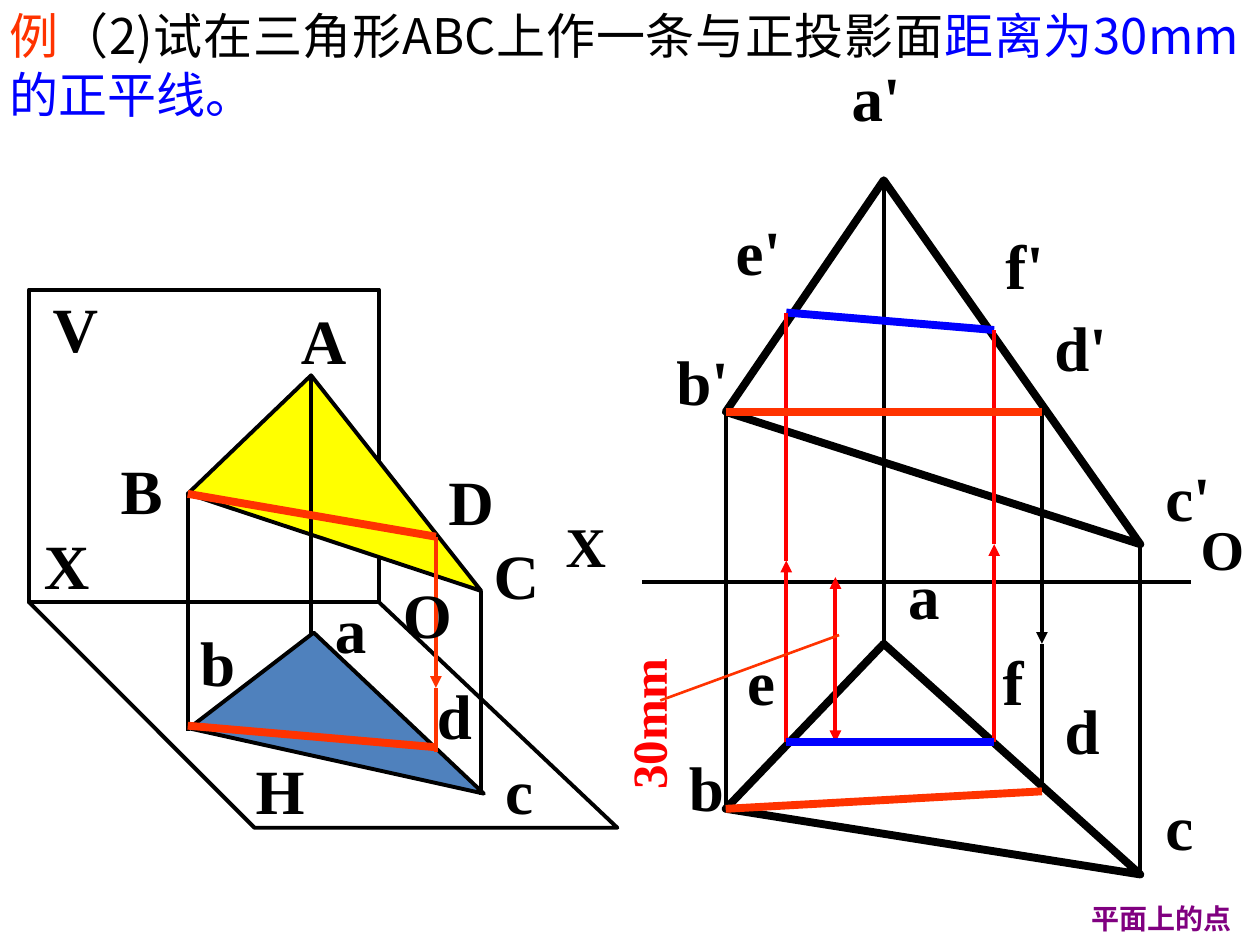
from dataclasses import dataclass

from lxml.etree import SubElement as Sub
from pptx import Presentation
from pptx.dml.color import RGBColor as Rgb
from pptx.enum.shapes import MSO_CONNECTOR as Link
from pptx.enum.text import MSO_ANCHOR as Anchor, PP_ALIGN as Align
from pptx.oxml.ns import qn
from pptx.util import Pt


@dataclass(frozen=True)
class Theme:
    black: str = "000000"
    white: str = "FFFFFF"
    red: str = "FF0000"
    orange: str = "FF3300"
    blue: str = "0000FF"
    steel: str = "4F81BD"
    yellow: str = "FFFF00"
    purple: str = "800080"
    serif: str = "Times New Roman"
    sans: str = "Noto Sans CJK SC"
    label: int = 36
    axis: int = 32
    title: int = 28
    note: int = 16
    thin: float = 1.5
    line: float = 2.25
    bold: float = 4.5


T = Theme()


class Panel:
    def __init__(self, slide, left, top):
        self.shapes = slide.shapes
        self.left, self.top = left, top

    def at(self, x, y):
        return Pt(self.left + x), Pt(self.top + y)

    def line(self, start, end, color=T.black, width=T.line, ends=()):
        link = self.shapes.add_connector(
            Link.STRAIGHT, *self.at(*start), *self.at(*end))
        link.line.color.rgb = Rgb.from_string(color)
        link.line.width = Pt(width)
        props = link._element.spPr
        for end_tag in ends:
            Sub(props.find(qn("a:ln")), qn(end_tag), type="triangle")
        Sub(props, qn("a:effectLst"))

    def shape(self, points, fill=T.white, width=T.line):
        first, *rest = [self.at(*p) for p in points]
        pen = self.shapes.build_freeform(*first)
        pen.add_line_segments(rest, close=True)
        form = pen.convert_to_shape()
        form.shadow.inherit = False
        form.fill.solid()
        form.fill.fore_color.rgb = Rgb.from_string(fill)
        form.line.color.rgb = Rgb.from_string(T.black)
        form.line.width = Pt(width)

    def text(self, runs, x, y, w, h, size=T.label, face=T.serif,
             bold=True, wrap=True, turn=0, align=Align.LEFT,
             anchor=Anchor.TOP, lead=None):
        box = self.shapes.add_textbox(*self.at(x, y), Pt(w), Pt(h))
        box.rotation = turn
        frame = box.text_frame
        frame.word_wrap, frame.vertical_anchor = wrap, anchor
        para = frame.paragraphs[0]
        para.alignment = align
        if lead:
            para.line_spacing = lead
        look = {"size": Pt(size), "name": face, "bold": bold}
        for words, color in runs:
            run = para.add_run()
            run.text = words
            for key, value in look.items():
                setattr(run.font, key, value)
            run.font.color.rgb = Rgb.from_string(color)
            Sub(run._r.get_or_add_rPr(), qn("a:ea"), typeface=T.sans)

    def labels(self, rows, size=T.label, high=50.4):
        for name, x, y, w in rows:
            self.text([(name, T.black)], x, y, w, high, size,
                      wrap=len(name) == 1)


def draw_space(slide, left, top):
    pane = Panel(slide, left, top)
    wide, base = 200, 178.5
    pane.shape([(0, base), (129, 307.5), (336.3, 307.5), (wide, base)])
    pane.shape([(0, base), (0, 0), (wide, 0), (wide, base)])
    A, B, C, D = (161.3, 49), (90.8, 116.7), (258.5, 172.2), (232.6, 141.2)
    a, b, c, d = (162.8, 196), (91.5, 250.7), (260, 288), (232.6, 261.5)
    pane.shape([b, a, c], T.steel)
    pane.shape([B, C, A], T.yellow)
    for spot, foot in ((A, 196.7), (C, 288.8), (B, 252)):
        pane.line(spot, (spot[0], foot))
    pane.line(d, (B[0], 249.2), T.orange, T.bold)
    pane.line(B, D, T.orange, T.bold)
    mid = (D[0], 227.6)
    pane.line(D, mid, T.orange, ends=["a:tailEnd"])
    pane.line(mid, (D[0], 264.3), T.orange)
    pane.labels([
        ("D", 232.6, 95.1, 40.4), ("C", 258.5, 137.6, 40.4),
        ("H", 122.5, 260.7, 42.4), ("V", 6.5, -3.5, 40.4),
        ("A", 148.4, 3, 40.4), ("B", 45.4, 88.7, 31),
        ("a", 167.8, 168.6, 32.4), ("b", 90.8, 187.3, 34.6),
        ("c", 265, 260.7, 26), ("O", 206.7, 159.9, 39),
        ("X", 1.5, 131.9, 40.4), ("d", 226.1, 217.5, 34.6)])


def draw_views(slide, left, top):
    pane = Panel(slide, left, top)
    bx, ax, cx, dx, ex, fx = 47.7, 138, 284.6, 228.4, 82.3, 201.1
    a2, b2, c2, d2 = (ax, 0), (bx, 132.4), (cx, 208), (dx, 132.4)
    a, b, c, d = (ax, 264.9), (bx, 359.2), (cx, 396.7), (dx, 349.2)
    e2, f2, e, f = (ex, 75.6), (fx, 85.6), (ex, 321.1), (fx, 321.1)
    pane.line((0, 229.6), (313.4, 229.6))
    pane.shape([b, a, c], width=T.bold)
    pane.shape([b2, a2, c2], width=T.bold)
    for upper, lower in ((b2, b), (a2, a), (c2, c)):
        pane.line(upper, lower)
    pane.line(e2, f2, T.blue, T.bold)
    for start, mid, end, color in (
            (e, 217.4, e2, T.red), (f, 208, f2, T.red),
            (d2, 264.9, d, T.black)):
        turn = (start[0], mid)
        pane.line(start, turn, color, ends=["a:tailEnd"])
        pane.line(turn, end, color)
    pane.line(b2, d2, T.orange, T.bold)
    pane.line(d, b, T.orange, T.bold)
    pane.line((110.4, 226.8), (110.4, 321.1), T.red,
              ends=["a:headEnd", "a:tailEnd"])
    pane.line(f, e, T.blue, T.bold)
    pane.text([("30mm", T.red)], -56, 275.7, 118, 41, T.title, turn=270)
    pane.line((10.3, 297.3), (112.5, 259.9), T.orange, T.thin)
    pane.labels([
        ("a'", 112.5, -72.8, 42.5), ("b'", 12.4, 89.2, 44.6),
        ("c'", 291.8, 155.5, 40.3), ("d'", 228.4, 69.8, 44.6),
        ("e'", 46.3, 15.1, 40.3), ("f'", 200.4, 23, 36.7),
        ("a", 144.9, 211.6, 32.4), ("b", 19.6, 321.1, 28.8),
        ("c", 291.8, 343.4, 30.2), ("d", 234.2, 288.7, 34.6),
        ("e", 52.8, 260.6, 30.2), ("f", 198.9, 260.6, 26.6)])
    pane.labels([("X", -50.9, 185.7, 37.4), ("O", 312, 187.2, 39.6)],
                T.axis, 45.4)


def draw_title(slide, left, top):
    Panel(slide, left, top).text(
        [("例", T.orange), ("（2)试在三角形ABC上作一条与正投影面", T.black),
         ("距离为30mm的正平线。", T.blue)],
        0, 0, 716.4, 74.2, T.title, T.sans, False,
        align=Align.JUSTIFY, lead=Pt(33.5))


def draw_note(slide, left, top):
    Panel(slide, left, top).text(
        [("平面上的点", T.purple)], 0, 0, 95, 26.6, T.note,
        wrap=False, align=Align.CENTER, anchor=Anchor.MIDDLE)


def main():
    deck = Presentation()
    deck.slide_width, deck.slide_height = Pt(720), Pt(540)
    slide = deck.slides.add_slide(deck.slide_layouts[6])
    draw_views(slide, 367, 103)
    draw_space(slide, 16.5, 165.5)
    draw_title(slide, -1.5, 0)
    draw_note(slide, 616.3, 511.2)
    deck.save("out.pptx")


if __name__ == "__main__":
    main()
